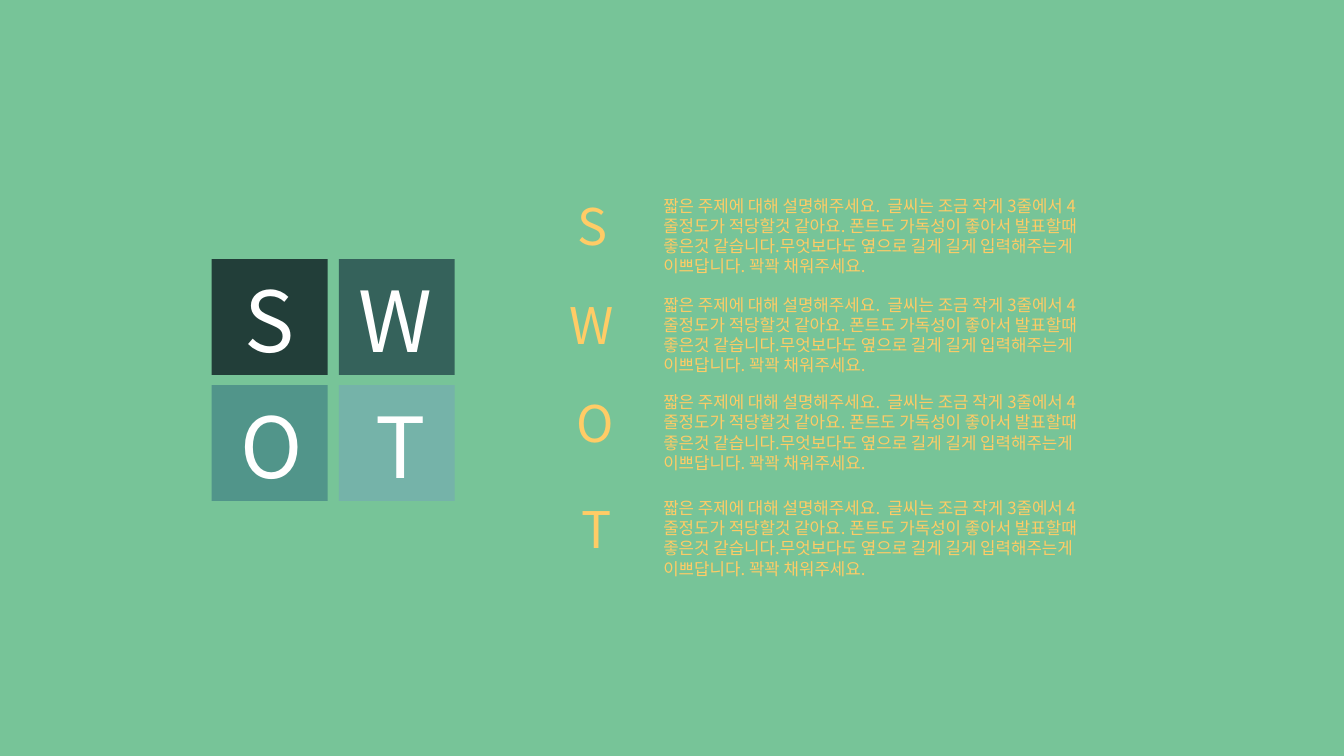
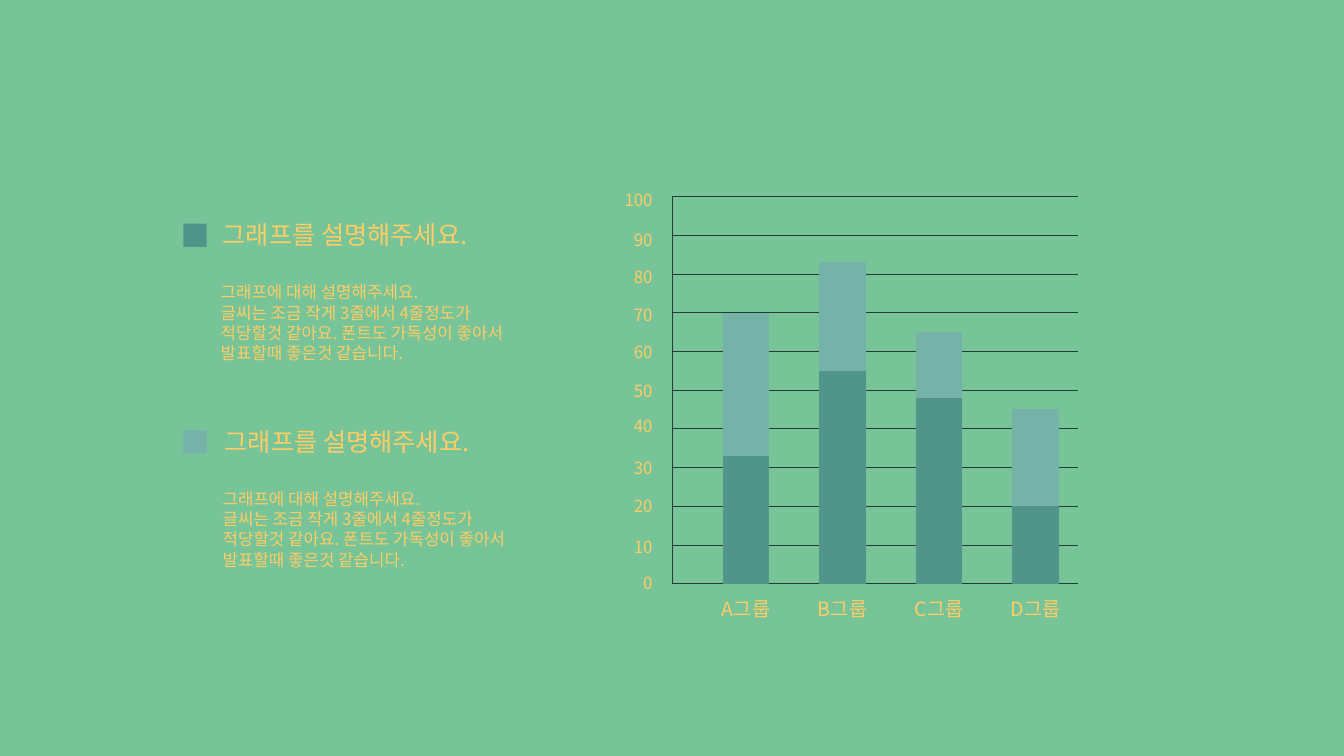
from lxml import etree
from pptx import Presentation
from pptx.chart.data import CategoryChartData
from pptx.dml.color import RGBColor
from pptx.enum.chart import XL_CHART_TYPE, XL_TICK_MARK
from pptx.enum.shapes import MSO_CONNECTOR, MSO_SHAPE
from pptx.enum.text import MSO_ANCHOR, PP_ALIGN
from pptx.oxml import parse_xml
from pptx.oxml.ns import nsdecls, qn
from pptx.util import Inches, Pt

RECTANGLE = MSO_SHAPE.RECTANGLE
STRAIGHT = MSO_CONNECTOR.STRAIGHT
STACKED_COLUMNS = XL_CHART_TYPE.COLUMN_STACKED
OUTSIDE = XL_TICK_MARK.OUTSIDE
MIDDLE = MSO_ANCHOR.MIDDLE
LEFT, CENTER, RIGHT = PP_ALIGN.LEFT, PP_ALIGN.CENTER, PP_ALIGN.RIGHT

GREEN = RGBColor(0x77, 0xC4, 0x98)
YELLOW = RGBColor(0xFF, 0xCC, 0x66)
WHITE = RGBColor(0xFF, 0xFF, 0xFF)
DARK = RGBColor(0x22, 0x3E, 0x39)
DEEP_TEAL = RGBColor(0x35, 0x62, 0x5B)
TEAL = RGBColor(0x51, 0x95, 0x8A)
LIGHT_TEAL = RGBColor(0x75, 0xB3, 0xA9)

FONT = "Noto Sans CJK KR"
LINE_HEIGHT = 1.2
BLANK_LAYOUT = 6

TILE_LEFT, TILE_TOP, TILE_SIZE = 2.1, 2.57, 1.15
TILE_COLUMN_STEP, TILE_ROW_STEP = 1.26, 1.25
SWOT = [  # letter, tile colour, top of its description, letter's shift right
    ("S", DARK, 1.89, 0),
    ("W", DEEP_TEAL, 2.87, -0.01),
    ("O", TEAL, 3.84, 0.02),
    ("T", LIGHT_TEAL, 4.89, 0.04),
]
SWOT_DESCRIPTION = (
    "짧은 주제에 대해 설명해주세요.  글씨는 조금 작게 3줄에서 4줄정도가 "
    "적당할것 같아요. 폰트도 가독성이 좋아서 발표할때 좋은것 같습니다."
    "무엇보다도 옆으로 길게 길게 입력해주는게 이쁘답니다. 꽉꽉 채워주세요."
)

LEGEND_TOP, LEGEND_STEP, LEGEND_SHIFT = 2.13, 2.05, 0.02
LEGEND_HEADING = "그래프를 설명해주세요."
LEGEND_DESCRIPTION = [
    "그래프에 대해 설명해주세요. \v글씨는 조금 작게 3줄에서 4줄정도가 \v"
    "적당할것 같아요. 폰트도 가독성이 좋아서",
    "발표할때 좋은것 같습니다.",
]

GROUPS = ["A그룹", "B그룹", "C그룹", "D그룹"]
SERIES = [
    ("하단", TEAL, (33, 55, 48, 20)),
    ("상단", LIGHT_TEAL, (37, 28, 17, 25)),
]
CHART_BOX = (6.7, 1.75, 4.25, 4.7)
PLOT_BOX = (6.92, 1.95, 3.83, 3.84)
GRID_LEFT, GRID_RIGHT, GRID_TOP, GRID_BOTTOM = 6.67, 10.69, 1.95, 5.79
SCALE_STEP = 10
SCALE_LABEL_TOPS = [5.63, 5.28, 4.87, 4.49, 4.08, 3.73,
                    3.34, 2.97, 2.6, 2.23, 1.83]


def inches(box):
    return [Inches(length) for length in box]


def write(frame, paragraphs, size, color, align=LEFT):
    frame.word_wrap = True
    for index, text in enumerate(paragraphs):
        paragraph = frame.paragraphs[0] if index == 0 else frame.add_paragraph()
        paragraph.text = text
        paragraph.alignment = align
        paragraph.line_spacing = Pt(size * LINE_HEIGHT)
        for run in paragraph.runs:
            style_font(run.font, size, color)


def style_font(font, size, color):
    font.name = FONT
    font.size = Pt(size)
    font.color.rgb = color


def set_east_asian_font(element):
    """Give Korean characters the same typeface as the Latin ones."""
    for latin in list(element.iter(qn("a:latin"))):
        east_asian = etree.Element(qn("a:ea"), typeface=FONT)
        latin.addnext(east_asian)


def add_text(slide, box, paragraphs, size, align=LEFT):
    frame = slide.shapes.add_textbox(*inches(box)).text_frame
    write(frame, paragraphs, size, YELLOW, align)


def add_square(slide, left, top, size, color):
    square = slide.shapes.add_shape(RECTANGLE, *inches((left, top, size, size)))
    square.shadow.inherit = False
    square.fill.solid()
    square.fill.fore_color.rgb = color
    square.line.fill.background()
    return square


def add_line(slide, *ends):
    line = slide.shapes.add_connector(STRAIGHT, *inches(ends))
    line.line.color.rgb = DARK
    line.line.width = Pt(0.5)
    properties = line.element.find(qn("p:spPr"))
    etree.SubElement(properties, qn("a:effectLst"))


def add_tile(slide, index, letter, color, shift):
    row, column = divmod(index, 2)
    tile = add_square(slide, TILE_LEFT + column * TILE_COLUMN_STEP,
                      TILE_TOP + row * TILE_ROW_STEP, TILE_SIZE, color)
    frame = tile.text_frame
    layout = {
        "margin_left": Inches(max(0, 2 * shift)),
        "margin_right": Inches(max(0, -2 * shift)),
        "margin_top": Inches(0.03),
        "margin_bottom": 0,
        "vertical_anchor": MIDDLE,
    }
    for name, value in layout.items():
        setattr(frame, name, value)
    write(frame, [letter], 60, WHITE, CENTER)


def build_swot(slide):
    for index, (letter, color, top, shift) in enumerate(SWOT):
        add_tile(slide, index, letter, color, shift)
        add_text(slide, (5.48 + shift, top, 0.8, 0.71), [letter], 36, CENTER)
        add_text(slide, (6.48, top, 4.72, 0.91), [SWOT_DESCRIPTION], 12)


def add_legend_entry(slide, left, top, color):
    add_square(slide, 1.82, top + 0.09, 0.23, color)
    add_text(slide, (left + 0.02, top, 2.99, 0.4), [LEGEND_HEADING], 18)
    add_text(slide, (left, top + 0.62, 3.42, 0.91), LEGEND_DESCRIPTION, 12)


def add_scale(slide):
    """Draw the ruled scale, which starts left of the chart's plot area."""
    last = len(SCALE_LABEL_TOPS) - 1
    for index, label_top in enumerate(SCALE_LABEL_TOPS):
        y = GRID_BOTTOM - index * (GRID_BOTTOM - GRID_TOP) / last
        add_line(slide, GRID_LEFT, y, GRID_RIGHT, y)
        add_text(slide, (6.02, label_top, 0.55, 0.3),
                 [str(index * SCALE_STEP)], 12, RIGHT)
    add_line(slide, GRID_LEFT, GRID_TOP, GRID_LEFT, GRID_BOTTOM)


def fix_plot_area(chart):
    """Pin the inner plot area to PLOT_BOX inside the chart frame."""
    left, top, width, height = CHART_BOX
    plot_left, plot_top, plot_width, plot_height = PLOT_BOX
    fractions = {
        "x": (plot_left - left) / width,
        "y": (plot_top - top) / height,
        "w": plot_width / width,
        "h": plot_height / height,
    }
    modes = '<c:xMode val="edge"/><c:yMode val="edge"/>'
    sizes = "".join(f'<c:{name} val="{value:.4f}"/>'
                    for name, value in fractions.items())
    layout = parse_xml(
        f'<c:layout {nsdecls("c")}><c:manualLayout>'
        f'<c:layoutTarget val="inner"/>{modes}{sizes}'
        "</c:manualLayout></c:layout>")
    plot_area = chart.element.find(".//" + qn("c:plotArea"))
    for automatic in plot_area.findall(qn("c:layout")):
        plot_area.remove(automatic)
    plot_area.insert(0, layout)


def style_axes(chart):
    scale = {"minimum_scale": 0, "maximum_scale": 100,
             "major_unit": SCALE_STEP, "has_major_gridlines": False,
             "visible": False}
    for name, value in scale.items():
        setattr(chart.value_axis, name, value)
    groups = chart.category_axis
    groups.major_tick_mark = OUTSIDE  # unseen ticks lower the group names
    groups.format.line.fill.background()
    style_font(groups.tick_labels.font, 14, YELLOW)


def add_group_chart(slide):
    data = CategoryChartData(number_format="0")
    data.categories = GROUPS
    for name, _, values in SERIES:
        data.add_series(name, values)
    chart = slide.shapes.add_chart(
        STACKED_COLUMNS, *inches(CHART_BOX), data).chart
    chart.has_title = chart.has_legend = False
    style_font(chart.font, 12, YELLOW)
    style_axes(chart)
    plot = chart.plots[0]
    for name, value in {"gap_width": 108, "overlap": 100,
                        "vary_by_categories": False}.items():
        setattr(plot, name, value)
    for series, (_, color, _) in zip(plot.series, SERIES):
        series.format.fill.solid()
        series.format.fill.fore_color.rgb = color
    fix_plot_area(chart)
    set_east_asian_font(chart.element)


def build_graph(slide):
    add_scale(slide)
    add_group_chart(slide)
    for index, (_, color, _) in enumerate(SERIES):
        add_legend_entry(slide, 2.09 + index * LEGEND_SHIFT,
                         LEGEND_TOP + index * LEGEND_STEP, color)


def main():
    prs = Presentation()
    prs.slide_width, prs.slide_height = Inches(13.33), Inches(7.5)
    background = prs.slide_master.background.fill
    background.solid()
    background.fore_color.rgb = GREEN
    for build in (build_swot, build_graph):
        slide = prs.slides.add_slide(prs.slide_layouts[BLANK_LAYOUT])
        build(slide)
        set_east_asian_font(slide.element)
    prs.save("out.pptx")


if __name__ == "__main__":
    main()
